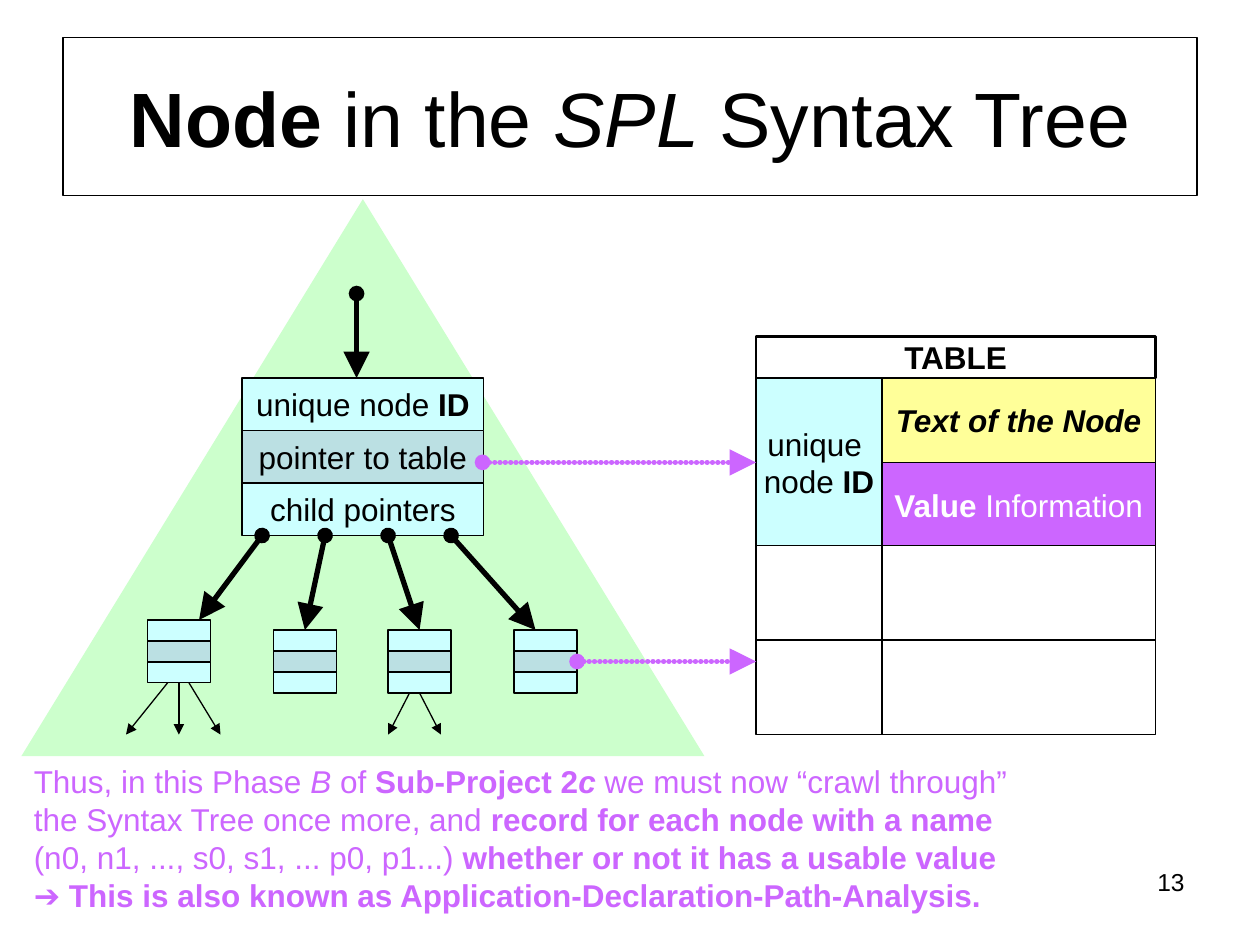
from lxml import etree
from pptx import Presentation
from pptx.dml.color import RGBColor
from pptx.enum.shapes import MSO_CONNECTOR, MSO_SHAPE as Shape
from pptx.enum.text import MSO_ANCHOR as Anchor, MSO_AUTO_SIZE as AutoSize, PP_ALIGN as Align
from pptx.oxml.ns import qn
from pptx.util import Inches, Pt

BLACK, WHITE = "000000", "FFFFFF"
GREEN, CYAN, TEAL = "CCFFCC", "CCFFFF", "BBE0E3"
YELLOW, PURPLE = "FFFF99", "CC66FF"
ROW_FILLS = (CYAN, TEAL, CYAN)
TOP, LEFT, BOTTOM, RIGHT = range(4)


def rgb(value):
    return RGBColor.from_string(value)


def write(frame, lines, size=18, color=BLACK, align=Align.CENTER, wrap=False):
    """Fill a frame; each line is a list of (text, style), style made of b and i."""
    frame.word_wrap = wrap
    for number, line in enumerate(lines):
        paragraph = frame.add_paragraph() if number else frame.paragraphs[0]
        paragraph.alignment = align
        paragraph.font.name = "Arial"
        paragraph.font.size = Pt(size)
        paragraph.font.color.rgb = rgb(color)
        for text, style in line:
            run = paragraph.add_run()
            run.text = text
            if "b" in style:
                run.font.bold = True
            if "i" in style:
                run.font.italic = True


def add_box(slide, box, fill=None, lines=(), color=BLACK, border=0.75, kind=Shape.RECTANGLE):
    shape = slide.shapes.add_shape(kind, *map(Inches, box))
    shape.shadow.inherit = False
    if fill:
        shape.fill.solid()
        shape.fill.fore_color.rgb = rgb(fill)
    else:
        shape.fill.background()
    if border:
        shape.line.color.rgb = rgb(BLACK)
        shape.line.width = Pt(border)
    else:
        shape.line.fill.background()
    if lines:
        shape.text_frame.vertical_anchor = Anchor.MIDDLE
        write(shape.text_frame, lines, color=color)
    return shape


def add_arrow(slide, start, end, color=BLACK, bold=True, source=None, target=None):
    """Draw an arrow; source and target are optional (shape, side) joins."""
    arrow = slide.shapes.add_connector(MSO_CONNECTOR.STRAIGHT, *map(Inches, start + end))
    if source:
        arrow.begin_connect(*source)
    if target:
        arrow.end_connect(*target)
    arrow.line.color.rgb = rgb(color)
    arrow.line.width = Pt(3 if bold else 0.75)
    line = arrow.line._get_or_add_ln()
    if color == PURPLE:
        # Touching round dots
        line.set("cap", "rnd")
        dash = etree.SubElement(line, qn("a:custDash"))
        etree.SubElement(dash, qn("a:ds"), d="100000", sp="1000")
    if bold:
        etree.SubElement(line, qn("a:headEnd"), type="oval")
    head_size = "lg" if bold else "med"
    etree.SubElement(line, qn("a:tailEnd"), type="triangle", w=head_size, len=head_size)
    etree.SubElement(arrow._element.spPr, qn("a:effectLst"))


def add_node(slide, left, top, width, height, labels=((), (), ())):
    """Stack the three fields of a tree node and return them."""
    row = height / 3
    return [add_box(slide, (left, top + i * row, width, row), fill, lines)
            for i, (fill, lines) in enumerate(zip(ROW_FILLS, labels))]


def add_text(slide, box, lines, **style):
    text_box = slide.shapes.add_textbox(*map(Inches, box))
    write(text_box.text_frame, lines, wrap=True, **style)


def add_title(slide):
    title = slide.shapes.title
    title.left, title.top, title.width, title.height = map(Inches, (0.5, 0.3, 9, 1.25))
    title.line.color.rgb = rgb(BLACK)
    title.line.width = Pt(0.75)
    title.text_frame.auto_size = AutoSize.NONE
    title.text_frame.vertical_anchor = Anchor.MIDDLE
    write(title.text_frame, [[("Node", "b"), (" in the ", ""), ("SPL ", "i"), ("Syntax Tree", "")]],
          size=44, wrap=True)


def add_tree(slide):
    """Draw the tree and return the pointer field of the last child."""
    add_box(slide, (0.17, 1.58, 5.42, 4.42), GREEN, border=0, kind=Shape.ISOSCELES_TRIANGLE)
    add_node(slide, 1.92, 3, 1.92, 1.25, (
        [[("unique node ", ""), ("ID", "b")]],
        [[("pointer to table", "")]],
        [[("child pointers", "")]],
    ))
    add_arrow(slide, (2.83, 2.33), (2.83, 3))

    # Children: left, top, arrow tip, whether the tip is the middle of the top side
    children = [(1.17, 4.92, 1.58, False), (2.17, 5, 2.42, True),
                (3.08, 5, 3.33, True), (4.08, 5, 4.25, False)]
    nodes = []
    for i, (left, top, tip, joined) in enumerate(children):
        node = add_node(slide, left, top, 0.5, 0.5)
        add_arrow(slide, (2.08 + 0.5 * i, 4.25), (tip, top),
                  target=(node[0], TOP) if joined else None)
        nodes.append(node)

    # Grandchildren pointers
    first_bottom = nodes[0][2]
    for x, y, tip, source in [(1.33, 5.42, 1, None), (1.42, 5.42, 1.42, (first_bottom, BOTTOM)),
                              (1.5, 5.42, 1.75, None), (3.25, 5.5, 3.08, None),
                              (3.33, 5.5, 3.5, None)]:
        add_arrow(slide, (x, y), (tip, 5.83), bold=False, source=source)
    return nodes[-1][1]


def add_symbol_table(slide):
    """Draw the table and return its filled ID cell."""
    id_left, info_left, id_width, info_width = 6, 7, 1, 2.17
    id_cell = add_box(slide, (id_left, 3, id_width, 1.34), CYAN,
                      [[("unique ", "")], [("node ", ""), ("ID", "b")]])
    add_box(slide, (info_left, 3, info_width, 0.67), YELLOW, [[("Text of the Node", "bi")]])
    add_box(slide, (info_left, 3.67, info_width, 0.67), PURPLE,
            [[("Value ", "b"), ("Information", "")]], color=WHITE)
    add_box(slide, (id_left, 2.67, id_width + info_width, 0.33),
            lines=[[("TABLE", "b")]], border=1.5)
    for top in (4.33, 5.08):
        for left, width in ((id_left, id_width), (info_left, info_width)):
            add_box(slide, (left, top, width, 0.75), WHITE)
    return id_cell


def main():
    deck = Presentation()
    deck.slide_width, deck.slide_height = Inches(10), Inches(7.5)
    slide = deck.slides.add_slide(deck.slide_layouts[5])

    add_title(slide)
    child_pointer = add_tree(slide)
    id_cell = add_symbol_table(slide)

    # Pointers from the tree into the table
    add_arrow(slide, (3.83, 3.67), (6, 3.67), PURPLE, target=(id_cell, LEFT))
    add_arrow(slide, (4.58, 5.25), (6, 5.25), PURPLE, source=(child_pointer, RIGHT))

    # Conclusion and page number
    add_text(slide, (0.17, 6, 8, 1.3), [
        [("Thus, in this Phase ", ""), ("B ", "i"), ("of ", ""), ("Sub-Project 2", "b"),
         ("c", "bi"), (" we must now “crawl through”", "")],
        [("the Syntax Tree once more, and ", ""), ("record for each node with a name", "b")],
        [("(n0, n1, ..., s0, s1, ... p0, p1...) ", ""),
         ("whether or not it has a usable value", "b")],
        [("➔ This is also known as Application-Declaration-Path-Analysis.", "b")],
    ], color=PURPLE, align=Align.LEFT)
    add_text(slide, (7.17, 6.83, 2.33, 0.52), [[("13", "")]], size=14, align=Align.RIGHT)

    deck.save("out.pptx")


if __name__ == "__main__":
    main()
